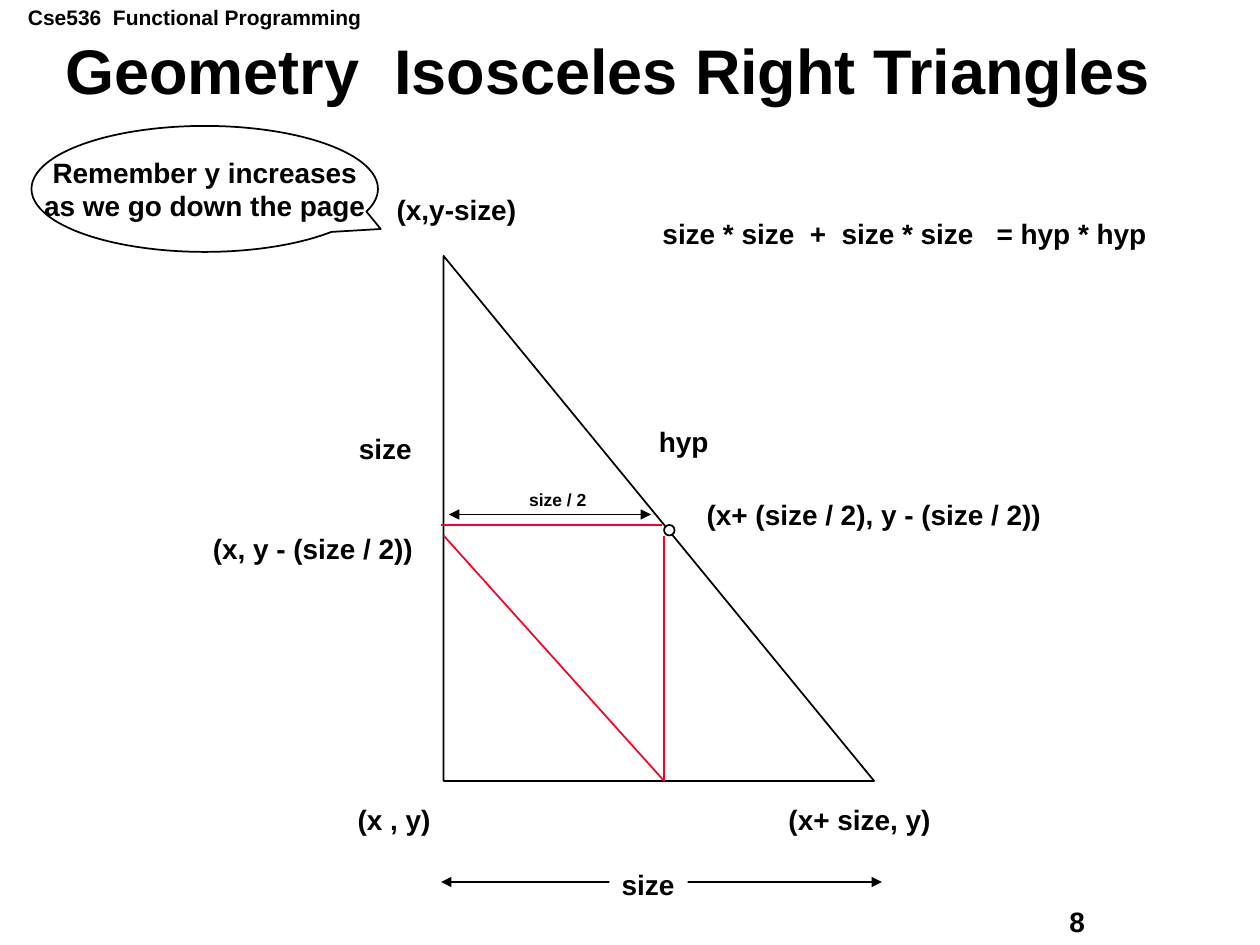
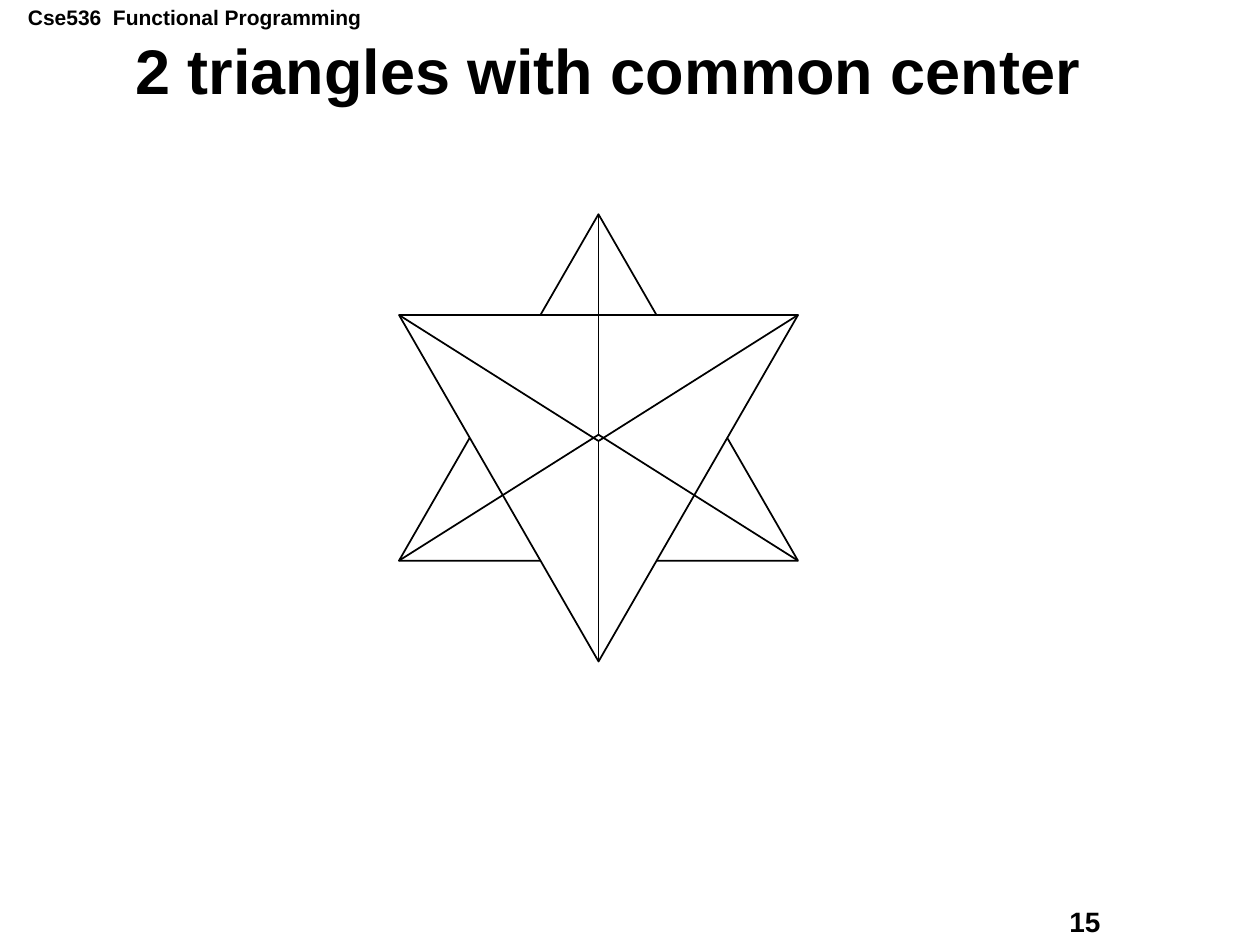
from lxml.etree import SubElement
from pptx import Presentation
from pptx.dml.color import RGBColor
from pptx.enum.shapes import MSO_CONNECTOR as Connector, MSO_SHAPE as Shape
from pptx.enum.text import MSO_ANCHOR as Anchor, MSO_AUTO_SIZE as AutoSize, PP_ALIGN as Align
from pptx.oxml.ns import qn
from pptx.util import Pt

COLORS = {"ink": "000000", "paper": "FFFFFF", "accent": "FC0128"}
FONT = "Arial"
TITLE_ONLY = 5
LABEL_HEIGHT = 26.6


def color(name):
    return RGBColor.from_string(COLORS[name])


def write(frame, text, size=16, align=Align.LEFT, anchor=Anchor.TOP, wrap=False, spacing=None):
    frame.margin_left = frame.margin_right = Pt(7.2)
    frame.margin_top = frame.margin_bottom = Pt(3.6)
    frame.auto_size = AutoSize.NONE
    frame.word_wrap = wrap
    frame.vertical_anchor = anchor
    frame.text = text
    for para in frame.paragraphs:
        para.alignment = align
        para.line_spacing = spacing
        para.font.name = FONT
        para.font.size = Pt(size)
        para.font.bold = True
        para.font.color.rgb = color("ink")


def add_label(page, text, left, top, width, height=LABEL_HEIGHT, filled=False, **text_format):
    box = page.shapes.add_textbox(Pt(left), Pt(top), Pt(width), Pt(height))
    if filled:
        box.fill.solid()
        box.fill.fore_color.rgb = color("paper")
    write(box.text_frame, text, **text_format)


def add_outline(shapes, kind, left, top, width, height):
    """Add a preset shape with paper fill and a thin ink line."""
    shape = shapes.add_shape(kind, Pt(left), Pt(top), Pt(width), Pt(height))
    shape.shadow.inherit = False
    shape.fill.solid()
    shape.fill.fore_color.rgb = color("paper")
    shape.line.color.rgb = color("ink")
    shape.line.width = Pt(1)
    return shape


def add_line(shapes, start, end, ink="ink", arrows=False):
    line = shapes.add_connector(Connector.STRAIGHT, *(Pt(value) for value in (*start, *end)))
    line.line.color.rgb = color(ink)
    line.line.width = Pt(1)
    properties = line.element.spPr
    if arrows:
        for tag in ("a:headEnd", "a:tailEnd"):
            SubElement(properties.find(qn("a:ln")), qn(tag), type="triangle")
    SubElement(properties, qn("a:effectLst"))


def add_page(deck, title, number):
    """Add a page with the course header, its number and its title."""
    page = deck.slides.add_slide(deck.slide_layouts[TITLE_ONLY])
    add_label(page, "Cse536  Functional Programming", 8.9, -0.7, 205, 21.8, size=12)
    add_label(page, str(number), 604, 513.4, 91.4, wrap=True)
    heading = page.shapes.title
    heading.left, heading.top, heading.width, heading.height = Pt(22.4), Pt(22.4), Pt(650), Pt(40.3)
    write(heading.text_frame, title, size=36, align=Align.CENTER, anchor=Anchor.MIDDLE,
          wrap=True, spacing=0.9)
    return page


def add_right_triangle_page(deck):
    page = add_page(deck, "Geometry  Isosceles Right Triangles", 8)
    shapes = page.shapes
    left, top, width, height = 253.5, 146.25, 246, 300
    base, middle_x, middle_y = top + height, 379.5, 300

    add_outline(shapes, Shape.RIGHT_TRIANGLE, left, top, width, height)
    add_label(page, " size / 2", 292.5, 275.9, 49.6, 19.4, filled=True, size=10)
    add_line(shapes, (252, 504), (504, 504), arrows=True)
    add_label(page, "size", 348.2, 492, 44.8, filled=True)

    add_outline(shapes, Shape.OVAL, middle_x, middle_y, 6, 6)
    inner_top = middle_y + 6
    add_line(shapes, (middle_x, inner_top), (middle_x, base), "accent")
    add_line(shapes, (378, middle_y), (252, middle_y), "accent")
    add_line(shapes, (left, inner_top), (middle_x, base), "accent")

    for text, label_left, label_top, label_width in (
        ("(x,y-size)", 219.6, 106.6, 82.7),
        ("size", 198, 243.3, 48.2),
        ("hyp", 369.4, 239, 42.5),
        ("size * size  +  size * size   = hyp * hyp", 371.5, 120.2, 290.9),
        ("(x+ (size / 2), y - (size / 2))", 396.7, 280.8, 205.2),
        ("(x, y - (size / 2))", 114.5, 300.2, 128.9),
        ("(x , y)", 197.3, 455, 56.2),
        ("(x+ size, y)", 443.5, 455, 95.8),
    ):
        add_label(page, text, label_left, label_top, label_width)

    callout = add_outline(shapes, Shape.OVAL_CALLOUT, 18, 72, 198, 72)
    callout.adjustments[0], callout.adjustments[1] = 0.508, 0.318
    write(callout.text_frame, "Remember y increases\nas we go down the page",
          align=Align.CENTER, anchor=Anchor.MIDDLE)
    add_line(shapes, (256.5, 294), (372, 294), arrows=True)


def add_star_page(deck):
    page = add_page(deck, "2 triangles with common center", 15)
    shapes = page.shapes.add_group_shape().shapes
    left, width, height, center_depth = 228, 228, 198, 126
    upright_top, inverted_top = 122.4, 180
    right, center_x = left + width, left + width / 2

    add_outline(shapes, Shape.ISOSCELES_TRIANGLE, left, upright_top, width, height)
    inverted = add_outline(shapes, Shape.ISOSCELES_TRIANGLE, left, inverted_top, width, height)
    inverted.rotation = 180

    for apex, base, direction in (
        (inverted_top + height, inverted_top, -1),
        (upright_top, upright_top + height, 1),
    ):
        center = (center_x, apex + direction * center_depth)
        for corner in ((center_x, apex), (left, base), (right, base)):
            add_line(shapes, corner, center)


def main():
    deck = Presentation()
    deck.slide_width, deck.slide_height = Pt(720), Pt(540)
    add_right_triangle_page(deck)
    add_star_page(deck)
    deck.save("out.pptx")


if __name__ == "__main__":
    main()
